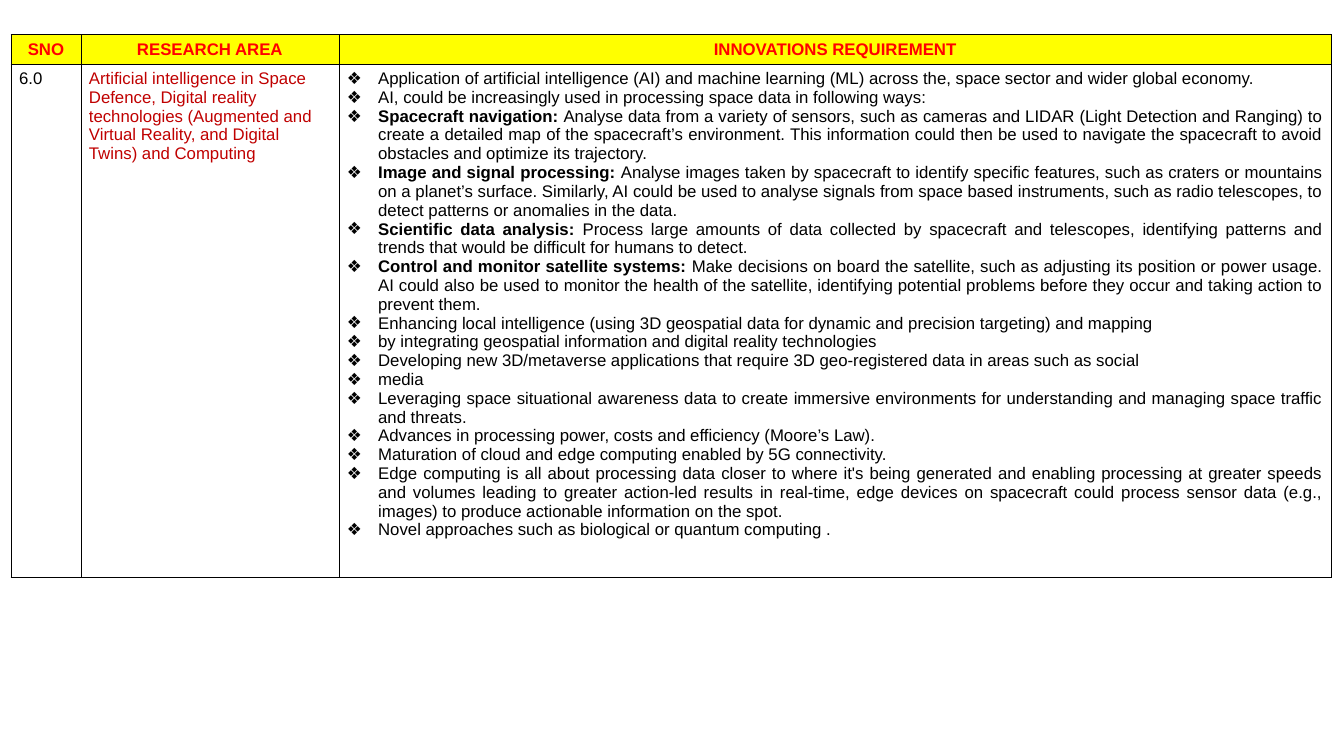
from lxml import etree
from pptx import Presentation
from pptx.dml.color import RGBColor
from pptx.enum.text import PP_ALIGN
from pptx.oxml.ns import qn
from pptx.util import Inches, Pt

LEFT, CENTER, JUSTIFY = PP_ALIGN.LEFT, PP_ALIGN.CENTER, PP_ALIGN.JUSTIFY
BLACK = RGBColor(0x00, 0x00, 0x00)
RED = RGBColor(0xFF, 0x00, 0x00)
MAROON = RGBColor(0xC0, 0x00, 0x00)
YELLOW = RGBColor(0xFF, 0xFF, 0x00)

HEADS = ["SNO", "RESEARCH AREA", "INNOVATIONS REQUIREMENT"]
AREA = (
    "Artificial intelligence in Space Defence, Digital reality technologies "
    "(Augmented and Virtual Reality, and Digital Twins) and Computing"
)
# Each need is a bold lead, which may be empty, and its text.
NEEDS = [
    ("", "Application of artificial intelligence (AI) and machine learning (ML) "
     "across the, space sector and wider global economy."),
    ("", "AI, could be increasingly used in processing space data in following ways:"),
    ("Spacecraft navigation: ",
     "Analyse data from a variety of sensors, such as cameras and LIDAR (Light "
     "Detection and Ranging) to create a detailed map of the spacecraft’s "
     "environment. This information could then be used to navigate the spacecraft "
     "to avoid obstacles and optimize its trajectory."),
    ("Image and signal processing: ",
     "Analyse images taken by spacecraft to identify specific features, such as "
     "craters or mountains on a planet’s surface. Similarly, AI could be used to "
     "analyse signals from space based instruments, such as radio telescopes, to "
     "detect patterns or anomalies in the data."),
    ("Scientific data analysis: ",
     "Process large amounts of data collected by spacecraft and telescopes, "
     "identifying patterns and trends that would be difficult for humans to detect."),
    ("Control and monitor satellite systems: ",
     "Make decisions on board the satellite, such as adjusting its position or "
     "power usage. AI could also be used to monitor the health of the satellite, "
     "identifying potential problems before they occur and taking action to "
     "prevent them."),
    ("", "Enhancing local intelligence (using 3D geospatial data for dynamic and "
     "precision targeting) and mapping"),
    ("", "by integrating geospatial information and digital reality technologies"),
    ("", "Developing new 3D/metaverse applications that require 3D geo-registered "
     "data in areas such as social"),
    ("", "media"),
    ("", "Leveraging space situational awareness data to create immersive "
     "environments for understanding and managing space traffic and threats."),
    ("", "Advances in processing power, costs and efficiency (Moore’s Law)."),
    ("", "Maturation of cloud and edge computing enabled by 5G connectivity."),
    ("", "Edge computing is all about processing data closer to where it's being "
     "generated and enabling processing at greater speeds and volumes leading to "
     "greater action-led results in real-time, edge devices on spacecraft could "
     "process sensor data (e.g., images) to produce actionable information on the "
     "spot."),
    ("", "Novel approaches such as biological or quantum computing ."),
]


class Page:
    """Holds the style and the slide; lengths are percent of the slide."""
    font, size = "Arial", Pt(12)
    edge, hang = Pt(0.45), Inches(0.31)
    pad_x, pad_y = Inches(0.08), Inches(0.05)

    def __init__(self, deck):
        self.wide, self.high = deck.slide_width, deck.slide_height
        self.slide = deck.slides.add_slide(deck.slide_layouts[6])

    def x(self, share):
        return round(self.wide * share / 100)

    def y(self, share):
        return round(self.high * share / 100)

    def table(self, left, top, cols, rows):
        frame = self.slide.shapes.add_table(
            len(rows), len(cols), self.x(left), self.y(top),
            self.x(sum(cols)), self.y(sum(rows)))
        grid = frame.table
        grid.first_row = grid.horz_banding = False
        for col, share in zip(grid.columns, cols):
            col.width = self.x(share)
        for row, share in zip(grid.rows, rows):
            row.height = self.y(share)
        return grid

    def cell(self, cell, items, color=BLACK, align=LEFT, fill=None, bold=False,
             bullet=""):
        """Fill a cell with one paragraph per (lead, text) item."""
        cell.margin_left = cell.margin_right = self.pad_x
        cell.margin_top = cell.margin_bottom = self.pad_y
        self.border(cell)
        if fill is None:
            cell.fill.background()
        else:
            cell.fill.solid()
            cell.fill.fore_color.rgb = fill
        frame = cell.text_frame
        for i, (lead, text) in enumerate(items):
            para = frame.add_paragraph() if i else frame.paragraphs[0]
            para.alignment = align
            if bullet:
                self.bullet(para, bullet)
            if lead:
                self.run(para, lead, color, True)
            self.run(para, text, color, bold)

    def run(self, para, text, color, bold):
        run = para.add_run()
        run.text = text
        font = run.font
        font.name, font.size, font.bold = self.font, self.size, bold
        font.color.rgb = color

    def bullet(self, para, mark):
        props = para._p.get_or_add_pPr()
        props.set("marL", str(self.hang))
        props.set("indent", str(-self.hang))
        tint = etree.SubElement(props, qn("a:buClr"))
        etree.SubElement(tint, qn("a:srgbClr"), val=str(BLACK))
        etree.SubElement(props, qn("a:buFont"), typeface=self.font)
        etree.SubElement(props, qn("a:buChar"), char=mark)

    def border(self, cell):
        props = cell._tc.get_or_add_tcPr()
        for side in "LRTB":
            line = etree.SubElement(props, qn(f"a:ln{side}"), w=str(self.edge))
            paint = etree.SubElement(line, qn("a:solidFill"))
            etree.SubElement(paint, qn("a:srgbClr"), val=str(BLACK))


def main():
    deck = Presentation()
    deck.slide_width, deck.slide_height = Inches(13.34), Inches(7.5)
    page = Page(deck)
    grid = page.table(0.82, 4.6, cols=[5.2, 19.2, 73.86], rows=[3.9, 67.9])
    for col, head in enumerate(HEADS):
        page.cell(grid.cell(0, col), [("", head)], RED, CENTER, YELLOW, bold=True)
    page.cell(grid.cell(1, 0), [("", "6.0")])
    page.cell(grid.cell(1, 1), [("", AREA)], MAROON)
    page.cell(grid.cell(1, 2), NEEDS, align=JUSTIFY, bullet="❖")
    deck.save("out.pptx")


if __name__ == "__main__":
    main()
